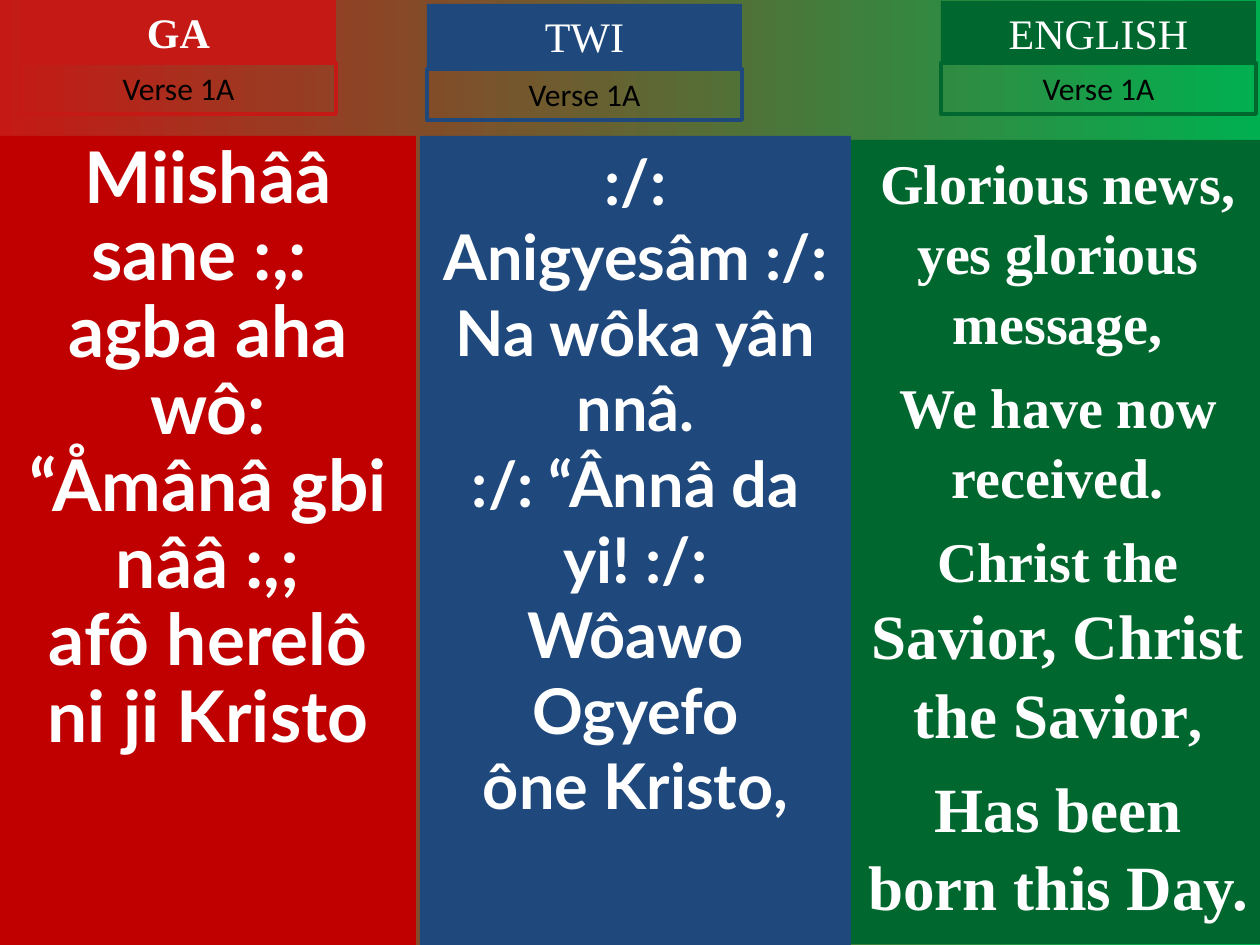
"""Builds a hymn slide with verse 1A in Ga, Twi and English, side by side."""
import pptx
import pptx.util
import pptx.dml.color
import pptx.enum.shapes
import pptx.enum.text
from dataclasses import dataclass


@dataclass(frozen=True)
class Theme:
    red: str = "C51915"
    deep: str = "C00000"
    blue: str = "1F497D"
    green: str = "00682F"
    lime: str = "00B050"
    white: str = "FFFFFF"
    black: str = "000000"
    serif: str = "Times New Roman"
    sans: str = "Lato"
    plain: str = "Calibri"
    head: float = 24
    tag: float = 18
    ga: float = 40.7
    big: float = 36
    mid: float = 32
    rule: float = 2.25


theme = Theme()
PX = 914400 / 126
rgb = pptx.dml.color.RGBColor.from_string

deck = pptx.Presentation()
deck.slide_width = round(1260 * PX)
deck.slide_height = round(945 * PX)
slide = deck.slides.add_slide(deck.slide_layouts[6])

back = slide.background.fill
back.gradient()
back.gradient_angle = 0
for stop, tone, place in zip(back.gradient_stops, (theme.red, theme.lime), (0, 1)):
    stop.color.rgb = rgb(tone)
    stop.position = place


def panel(left, top, width, height, fill=None, line=None):
    shape = slide.shapes.add_shape(
        pptx.enum.shapes.MSO_SHAPE.RECTANGLE,
        *(round(n * PX) for n in (left, top, width, height)))
    shape.shadow.inherit = False
    if fill:
        shape.fill.solid()
        shape.fill.fore_color.rgb = rgb(fill)
    else:
        shape.fill.background()
    if line:
        shape.line.color.rgb = rgb(line)
        shape.line.width = pptx.util.Pt(theme.rule)
    else:
        shape.line.fill.background()
    return shape


def write(shape, paras, font, size, color=theme.white, bold=False, lead=1.0, gaps=()):
    frame = shape.text_frame
    frame.word_wrap = True
    frame.vertical_anchor = pptx.enum.text.MSO_ANCHOR.TOP
    for i, runs in enumerate(paras):
        para = frame.paragraphs[0] if i == 0 else frame.add_paragraph()
        para.alignment = pptx.enum.text.PP_ALIGN.CENTER
        para.line_spacing = lead
        if i and gaps:
            para.space_before = pptx.util.Pt(gaps[i])
        for part in [(runs, size)] if isinstance(runs, str) else runs:
            run = para.add_run()
            run.text = part[0]
            run.font.name = font
            run.font.size = pptx.util.Pt(part[1])
            run.font.bold = bold
            run.font.color.rgb = rgb(color)


ga = ["Miishââ sane :,: ", "agba aha wô:", "“Åmânâ gbi nââ :,;", "afô herelô", "ni ji Kristo"]
twi = [":/: Anigyesâm :/:", "Na wôka yân nnâ.", ":/: “Ânnâ da yi! :/:", "Wôawo Ogyefo", "ône Kristo,"]
english = [
    "Glorious news, yes glorious message,",
    "We have now received.",
    [("Christ the ", theme.mid), ("Savior, Christ the Savior", theme.big), (",", theme.mid)],
    [("Has been born this Day.", theme.big)],
]

write(panel(0, 136, 416, 809, fill=theme.deep), ga, theme.sans, theme.ga, bold=True, lead=0.9)
write(panel(420, 136, 431, 809, fill=theme.blue), twi, theme.sans, theme.big, bold=True)
write(panel(851, 140, 414, 804, fill=theme.green), english, theme.serif, theme.mid,
      bold=True, lead=1.04, gaps=(0, 8, 8, 9))

heads = [
    ("GA", 21, 0, 63, theme.red, True),
    ("TWI", 427, 4, 69, theme.blue, False),
    ("ENGLISH", 941, 1, 63, theme.green, False),
]
for name, left, top, low, tone, bold in heads:
    write(panel(left, top, 315, 63, fill=tone), [name], theme.serif, theme.head, bold=bold)
    write(panel(left, low, 315, 51, line=tone), ["Verse 1A"], theme.plain, theme.tag, color=theme.black)

deck.save("out.pptx")
